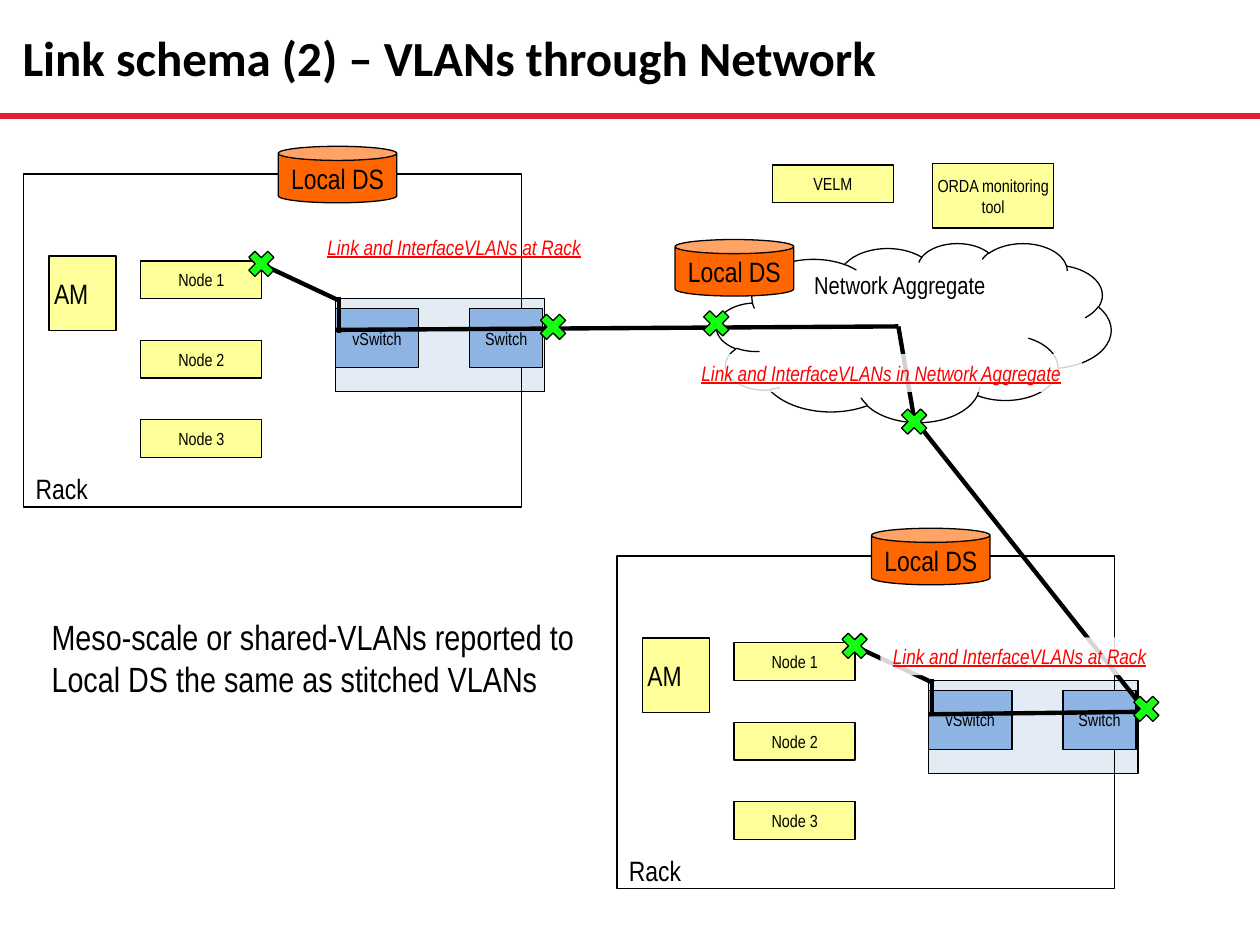
from dataclasses import dataclass

from lxml import etree
from pptx import Presentation
from pptx.dml.color import RGBColor
from pptx.enum.shapes import MSO_CONNECTOR, MSO_SHAPE
from pptx.enum.text import MSO_ANCHOR, PP_ALIGN
from pptx.oxml.ns import qn
from pptx.util import Cm, Pt

RECT, CAN, CLOUD, CROSS = (MSO_SHAPE.RECTANGLE, MSO_SHAPE.CAN, MSO_SHAPE.CLOUD,
                           MSO_SHAPE.MATH_MULTIPLY)
STRAIGHT = MSO_CONNECTOR.STRAIGHT
LEFT, CENTER = PP_ALIGN.LEFT, PP_ALIGN.CENTER
TOP, MIDDLE, BOTTOM = MSO_ANCHOR.TOP, MSO_ANCHOR.MIDDLE, MSO_ANCHOR.BOTTOM


@dataclass(frozen=True)
class Theme:
    ink: str = "000000"
    paper: str = "FFFFFF"
    rule: str = "E31E36"
    node: str = "FFFF99"
    panel: str = "B9CDE5"
    switch: str = "8EB4E3"
    store: str = "FF6600"
    interface: str = "14FF13"
    vlan: str = "FF0000"
    body_font: str = "Arial Narrow"
    title_font: str = "Calibri"
    small: int = 10
    label: int = 12
    cloud: int = 14
    medium: int = 16
    note: int = 20
    title: int = 28
    outline: float = 0.75
    link: float = 2.5
    rule_width: float = 3


theme = Theme()
prs = Presentation()
prs.slide_width, prs.slide_height = Cm(25.4), Cm(19.05)
slide = prs.slides.add_slide(prs.slide_layouts[5])


def box(kind, at, fill=None, text="", size=theme.small, align=CENTER,
        anchor=MIDDLE, left=0, edge=0.13, opacity=100):
    """Add an outlined shape; at, left and edge (top and bottom inset) are in cm."""
    shape = slide.shapes.add_shape(kind, *map(Cm, at))
    shape.shadow.inherit = False
    shape.line.color.rgb = RGBColor.from_string(theme.ink)
    shape.line.width = Pt(theme.outline)
    if fill:
        shape.fill.solid()
        shape.fill.fore_color.rgb = RGBColor.from_string(fill)
        if opacity < 100:
            color = shape.fill._xPr.find(".//" + qn("a:srgbClr"))
            etree.SubElement(color, qn("a:alpha"), val=str(opacity * 1000))
    else:
        shape.fill.background()
    if text:
        frame = shape.text_frame
        frame.text = text
        frame.vertical_anchor = anchor
        frame.margin_left, frame.margin_right = Cm(left), 0
        frame.margin_top = frame.margin_bottom = Cm(edge)
        paragraph = frame.paragraphs[0]
        paragraph.alignment = align
        paragraph.font.name, paragraph.font.size = theme.body_font, Pt(size)
        paragraph.font.color.rgb = RGBColor.from_string(theme.ink)
    return shape


def line(x1, y1, x2, y2, color, width):
    connector = slide.shapes.add_connector(STRAIGHT, *map(Cm, (x1, y1, x2, y2)))
    connector.line.color.rgb = RGBColor.from_string(color)
    connector.line.width = Pt(width)
    etree.SubElement(connector._element.spPr, qn("a:effectLst"))


# Title and rule
title = slide.shapes.title
title.left, title.top, title.width, title.height = map(Cm, (0.2, 0.2, 19.76, 1.9))
title.text_frame.text = "Link schema (2) – VLANs through Network"
title.text_frame.vertical_anchor = MIDDLE
heading = title.text_frame.paragraphs[0]
heading.alignment = LEFT
heading.font.name, heading.font.size, heading.font.bold = theme.title_font, Pt(theme.title), True
heading.font.color.rgb = RGBColor.from_string(theme.ink)
line(25.4, 2.34, 0, 2.34, theme.rule, theme.rule_width)

# Network aggregate
box(CLOUD, (14.45, 4.9, 7.95, 3.61), theme.paper, "Network Aggregate", theme.cloud,
    anchor=TOP, edge=0)
links = [(18.11, 6.58, 6.76, 6.65), (18.11, 6.58, 18.44, 8.51),
         (22.91, 14.1, 18.62, 8.69), (22.91, 14.35, 18.72, 14.4)]
interfaces = [(14.07, 6.15), (18.06, 8.13)]
stores = [(13.61, 4.83)]

# The two racks share one layout
for dx, dy in [(0, 0), (11.96, 7.7)]:
    box(RECT, (6.76 + dx, 6.02 + dy, 4.22, 1.88), theme.panel, opacity=40)
    box(RECT, (0.99 + dx, 5.16 + dy, 1.35, 1.5), theme.node, "AM", theme.medium, LEFT, left=0.1)
    for i in range(3):
        box(RECT, (2.84 + dx, 5.26 + 1.6 * i + dy, 2.44, 0.76), theme.node, f"Node {i + 1}")
    box(RECT, (0.48 + dx, 3.51 + dy, 10.03, 6.71), None, "Rack", theme.medium, LEFT,
        BOTTOM, left=0.24, edge=0.03)
    for name, x, width in [("vSwitch", 6.76, 1.68), ("Switch", 9.47, 1.47)]:
        box(RECT, (x + dx, 6.22 + dy, width, 1.19), theme.switch, name)
    stores.append((5.61 + dx, 2.95 + dy))
    links += [(5.28 + dx, 5.33 + dy, 6.86 + dx, 6.07 + dy),
              (6.83 + dx, 5.99 + dy, 6.83 + dx, 6.71 + dy)]
    interfaces += [(4.9 + dx, 4.95 + dy), (10.78 + dx, 6.22 + dy)]

for x, y in stores:
    box(CAN, (x, y, 2.39, 1.14), theme.store, "Local DS", theme.medium)
for link in links:
    line(*link, theme.ink, theme.link)
for x, y in interfaces:
    box(CROSS, (x, y, 0.74, 0.74), theme.interface)

# VLAN labels, the lower two on translucent white
for text, at, fill, opacity in [
    ("Link and InterfaceVLANs at Rack", (6.35, 4.6, 5.77, 0.76), None, 100),
    ("Link and InterfaceVLANs in Network Aggregate", (13.89, 7.14, 7.92, 0.76), theme.paper, 82),
    ("Link and InterfaceVLANs at Rack", (17.75, 12.85, 5.77, 0.76), theme.paper, 84),
]:
    label = box(RECT, at, fill, text, theme.label, LEFT, TOP, left=0.25, opacity=opacity)
    label.line.fill.background()
    label.text_frame.word_wrap = False
    font = label.text_frame.paragraphs[0].font
    font.italic = font.underline = True
    font.color.rgb = RGBColor.from_string(theme.vlan)

# Remark and monitoring tools
remark = box(RECT, (0.79, 12.27, 11.33, 1.96), None,
             "Meso-scale or shared-VLANs reported to Local DS the same as stitched VLANs",
             theme.note, LEFT, TOP, left=0.25)
remark.line.fill.background()
box(RECT, (15.57, 3.33, 2.44, 0.76), theme.node, "VELM")
box(RECT, (18.8, 3.3, 2.44, 1.3), theme.node, "ORDA monitoring tool")

prs.save("out.pptx")
